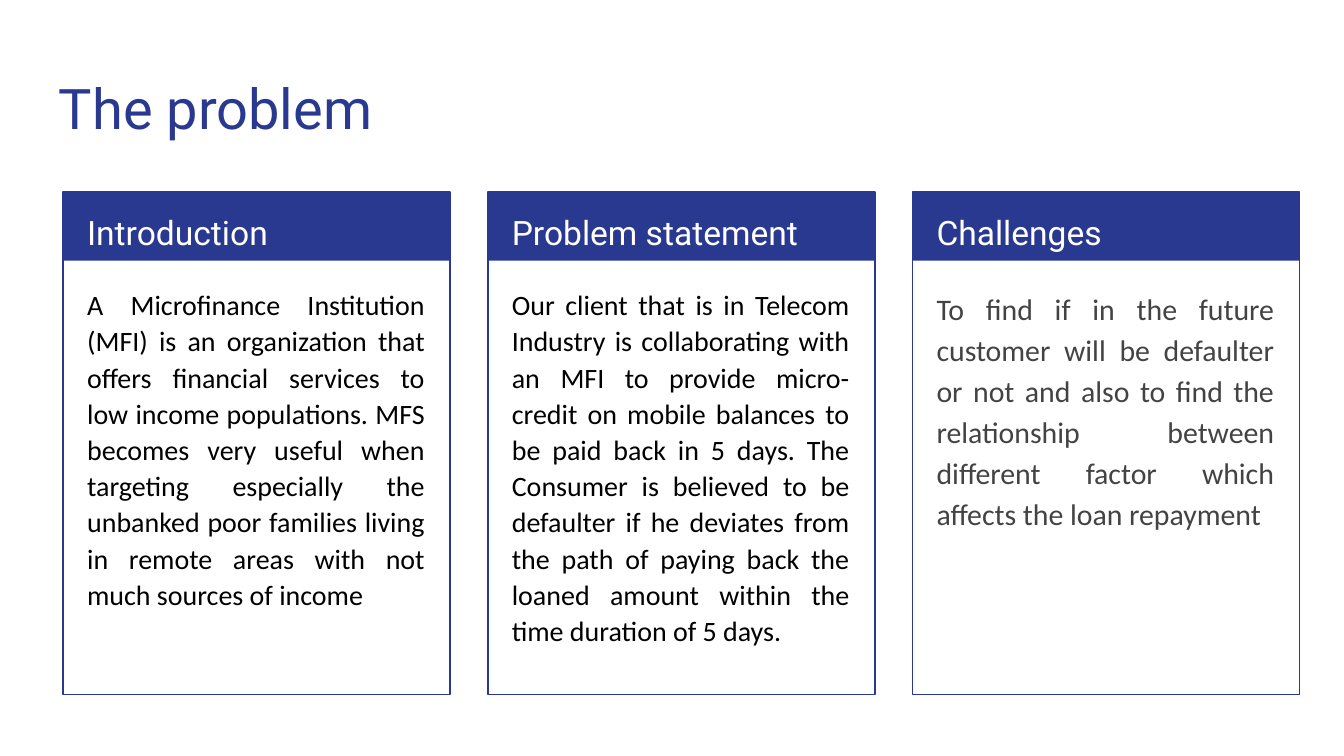
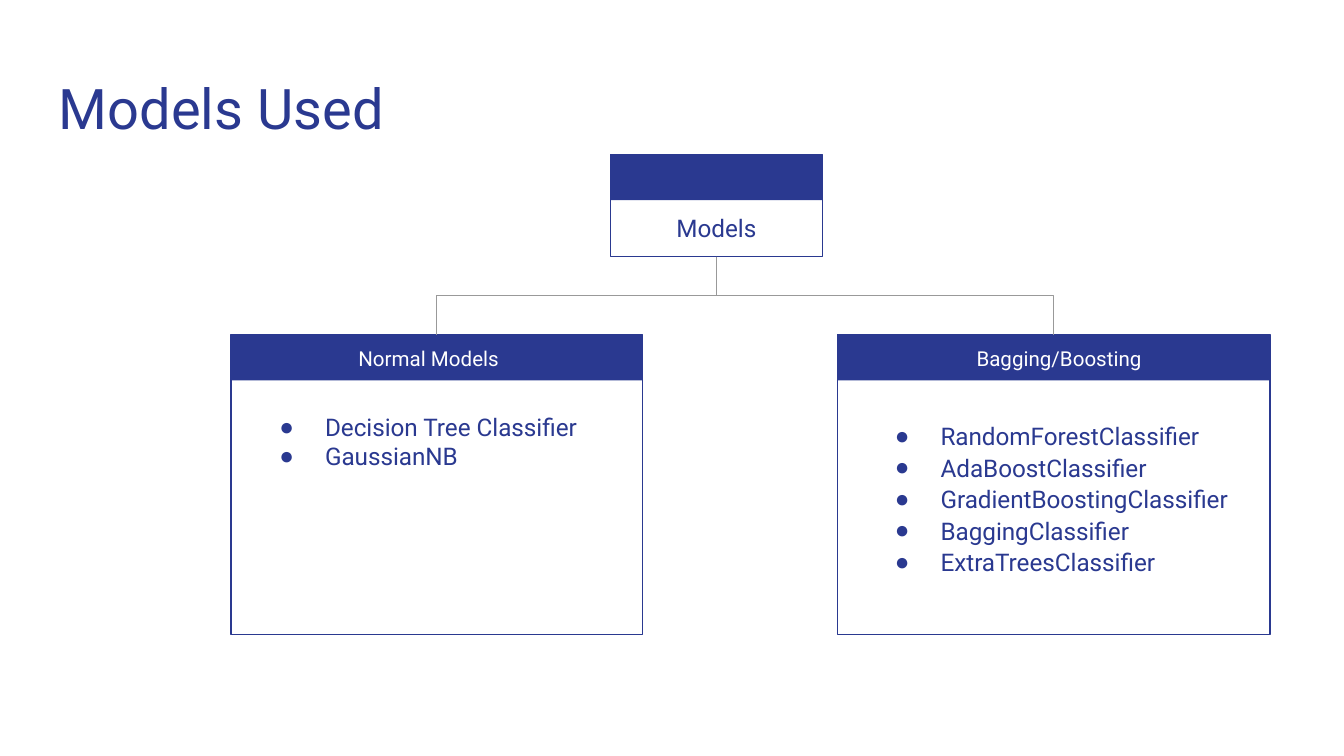
import dataclasses

import lxml.etree
import pptx
import pptx.dml.color
import pptx.enum.shapes
import pptx.enum.text
import pptx.oxml.ns
import pptx.util

Inches = pptx.util.Inches
Align = pptx.enum.text.PP_ALIGN
Anchor = pptx.enum.text.MSO_ANCHOR
qn = pptx.oxml.ns.qn


@dataclasses.dataclass(frozen=True)
class Theme:
    navy: str = "2A3990"
    white: str = "FFFFFF"
    black: str = "000000"
    dark_grey: str = "434343"
    line_grey: str = "999999"
    heading_font: str = "Roboto"
    body_font: str = "Calibri"
    bullet_font: str = "Arial"
    title_size: float = 30
    heading_size: float = 18
    body_size: float = 15
    challenge_size: float = 16
    model_size: float = 13
    label_size: float = 11
    line_width: float = 0.75


THEME = Theme()


@dataclasses.dataclass(frozen=True)
class TextStyle:
    size: float
    color: str
    font: str = THEME.heading_font
    align: Align = Align.LEFT
    line_spacing: float = 1.0
    space_after: float = 0
    anchor: Anchor = Anchor.TOP
    bulleted: bool = False


TITLE = TextStyle(THEME.title_size, THEME.navy)
HEADING = TextStyle(THEME.heading_size, THEME.white, line_spacing=1.15)
BODY = TextStyle(THEME.body_size, THEME.black, THEME.body_font, Align.JUSTIFY, 1.08, 8)
CHALLENGE = TextStyle(THEME.challenge_size, THEME.dark_grey, THEME.body_font,
                      Align.JUSTIFY, 1.15, 16)
ROOT = TextStyle(THEME.model_size, THEME.navy, align=Align.CENTER, anchor=Anchor.MIDDLE)
LABEL = dataclasses.replace(ROOT, size=THEME.label_size, color=THEME.white)
MODEL_LIST = dataclasses.replace(ROOT, align=Align.LEFT, bulleted=True)
SPACED_MODEL_LIST = dataclasses.replace(MODEL_LIST, align=Align.JUSTIFY, line_spacing=1.08)

PROBLEM_COLUMNS = [
    ("Introduction",
     "A Microfinance Institution (MFI) is an organization that offers financial services "
     "to low income populations. MFS becomes very useful when targeting especially the "
     "unbanked poor families living in remote areas with not much sources of income", BODY),
    ("Problem statement",
     "Our client that is in Telecom Industry is collaborating with an MFI to provide "
     "micro-credit on mobile balances to be paid back in 5 days. The Consumer is believed "
     "to be defaulter if he deviates from the path of paying back the loaned amount within "
     "the time duration of 5 days.", BODY),
    ("Challenges",
     "To find if in the future customer will be defaulter or not and also to find the "
     "relationship between different factor which affects the loan repayment ", CHALLENGE),
]
NORMAL_MODELS = ["Decision Tree Classifier", "GaussianNB"]
ENSEMBLE_MODELS = ["RandomForestClassifier", "AdaBoostClassifier",
                   "GradientBoostingClassifier", "BaggingClassifier", "ExtraTreesClassifier"]


def rgb(color):
    return pptx.dml.color.RGBColor.from_string(color)


def add_bullet(paragraph, style):
    properties = paragraph._p.get_or_add_pPr()
    properties.set("marL", str(Inches(0.5)))
    properties.set("indent", str(Inches(-0.34)))
    bullet_color = lxml.etree.Element(qn("a:buClr"))
    lxml.etree.SubElement(bullet_color, qn("a:srgbClr"), val=style.color)
    bullet_font = lxml.etree.Element(qn("a:buFont"), typeface=THEME.bullet_font)
    bullet_character = lxml.etree.Element(qn("a:buChar"), char="●")
    default_font = properties.find(qn("a:defRPr"))
    for element in (bullet_color, bullet_font, bullet_character):
        default_font.addprevious(element)


def add_text(slide, left, top, width, height, lines, style):
    box = slide.shapes.add_textbox(Inches(left), Inches(top), Inches(width), Inches(height))
    frame = box.text_frame
    frame.word_wrap = True
    frame.vertical_anchor = style.anchor
    frame.margin_left = frame.margin_right = Inches(0.1)
    frame.margin_top = frame.margin_bottom = Inches(0.1)
    frame.text = "\n".join(lines)
    for paragraph in frame.paragraphs:
        paragraph.alignment = style.align
        paragraph.line_spacing = style.line_spacing
        paragraph.space_after = pptx.util.Pt(style.space_after)
        paragraph.font.name = style.font
        paragraph.font.size = pptx.util.Pt(style.size)
        paragraph.font.color.rgb = rgb(style.color)
        if style.bulleted:
            add_bullet(paragraph, style)


def add_rectangle(slide, left, top, width, height):
    shape = slide.shapes.add_shape(pptx.enum.shapes.MSO_SHAPE.RECTANGLE, Inches(left),
                                   Inches(top), Inches(width), Inches(height))
    shape.shadow.inherit = False
    return shape


def add_card(slide, left, top, width, height, band_height):
    frame = add_rectangle(slide, left, top, width, height)
    frame.fill.background()
    frame.line.color.rgb = rgb(THEME.navy)
    frame.line.width = pptx.util.Pt(THEME.line_width)
    band = add_rectangle(slide, left, top, width, band_height)
    band.fill.solid()
    band.fill.fore_color.rgb = rgb(THEME.navy)
    band.line.fill.background()
    return frame


def add_branch(slide, parent, child):
    connector = slide.shapes.add_connector(pptx.enum.shapes.MSO_CONNECTOR.ELBOW, 0, 0, 0, 0)
    connector.begin_connect(parent, 2)
    connector.end_connect(child, 0)
    start_x, start_y = parent.left + parent.width // 2, parent.top + parent.height
    end_x, end_y = child.left + child.width // 2, child.top
    drop, spread = end_y - start_y, abs(end_x - start_x)
    connector.left = (start_x + end_x - drop) // 2
    connector.top = (start_y + end_y - spread) // 2
    connector.width, connector.height = drop, spread
    transform = connector._element.spPr.find(qn("a:xfrm"))
    for flip in ("flipH", "flipV"):
        transform.attrib.pop(flip, None)
    goes_right = end_x > start_x
    transform.set("rot", str((270 if goes_right else 90) * 60000))
    if goes_right:
        transform.set("flipH", "1")
    connector.line.color.rgb = rgb(THEME.line_grey)
    connector.line.width = pptx.util.Pt(THEME.line_width)
    lxml.etree.SubElement(connector._element.spPr, qn("a:effectLst"))


def add_titled_slide(presentation, title):
    slide = presentation.slides.add_slide(presentation.slide_layouts[6])
    add_text(slide, 0.34, 0.45, 9.32, 0.66, [title], TITLE)
    return slide


def build_problem_slide(presentation):
    slide = add_titled_slide(presentation, "The problem")
    for index, (heading, body, body_style) in enumerate(PROBLEM_COLUMNS):
        left = 0.47 + 3.16 * index
        add_card(slide, left, 1.43, 2.88, 3.74, 0.51)
        add_text(slide, left + 0.08, 1.43, 2.73, 0.5, [heading], HEADING)
        add_text(slide, left + 0.08, 2.02, 2.71, 3.06, [body], body_style)


def build_models_slide(presentation):
    slide = add_titled_slide(presentation, "Models Used")
    band_height, label_width, label_height = 0.34, 1.58, 0.21
    root = add_card(slide, 4.54, 1.15, label_width, 0.76, band_height)
    add_text(slide, 4.54, 1.59, label_width, label_height, ["Models"], ROOT)
    families = [
        (1.72, 3.06, "Normal Models", 2.4, NORMAL_MODELS, (1.82, 3.02, 2.78), MODEL_LIST),
        (6.23, 3.22, "Bagging/Boosting ", 7.11, ENSEMBLE_MODELS, (6.4, 3.44, 3.09),
         SPACED_MODEL_LIST),
    ]
    for left, width, label, label_left, models, list_place, list_style in families:
        card = add_card(slide, left, 2.49, width, 2.23, band_height)
        add_branch(slide, root, card)
        add_text(slide, label_left, 2.56, label_width, label_height, [label], LABEL)
        add_text(slide, *list_place, 0.53, models, list_style)


def main():
    presentation = pptx.Presentation()
    presentation.slide_width = Inches(10)
    presentation.slide_height = presentation.slide_width * 9 // 16
    build_problem_slide(presentation)
    build_models_slide(presentation)
    presentation.save("out.pptx")


if __name__ == "__main__":
    main()
